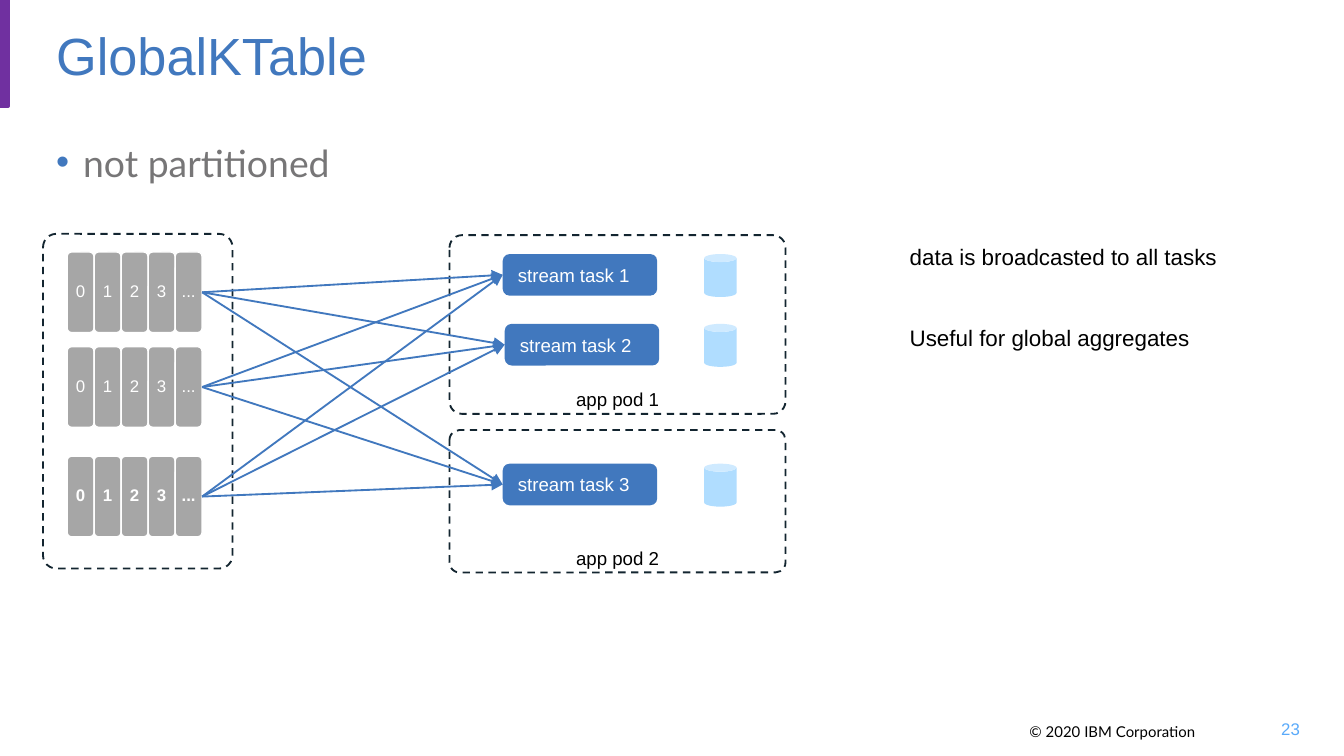
from collections import namedtuple

from lxml.etree import SubElement
from pptx import Presentation
from pptx.dml.color import RGBColor
from pptx.enum.dml import MSO_LINE_DASH_STYLE as Dash
from pptx.enum.shapes import MSO_CONNECTOR as Connector, MSO_SHAPE as Shape
from pptx.enum.text import MSO_ANCHOR as Anchor, PP_ALIGN as Align
from pptx.oxml.ns import qn
from pptx.util import Inches, Pt

BLUE = RGBColor(0x41, 0x78, 0xBE)
PALE_BLUE = RGBColor(0xB0, 0xDD, 0xFF)
NUMBER_BLUE = RGBColor(0x5A, 0xAA, 0xFA)
PURPLE = RGBColor(0x70, 0x30, 0xA0)
GRAY = RGBColor(0xA6, 0xA6, 0xA6)
TEXT_GRAY = RGBColor(0x77, 0x76, 0x77)
DARK = RGBColor(0x13, 0x25, 0x30)
BLACK = RGBColor(0, 0, 0)
WHITE = RGBColor(0xFF, 0xFF, 0xFF)

GRID = Inches(0.1)
COLUMNS = 100
ROWS = COLUMNS * 9 / 16


class Box(namedtuple("Box", "left top width height")):
    """A rectangle in grid columns and rows."""

    def inside(self, left, top, width, height):
        """Return a box offset from this one's corner."""
        return Box(self.left + left, self.top + top, width, height)

    def lengths(self):
        """Return the rectangle as slide lengths."""
        return [round(value * GRID) for value in self]


def add_text(paragraph, text, size, color, font="Arial", bold=False):
    """Add one formatted run to a paragraph."""
    run = paragraph.add_run()
    run.text = text
    run.font.name, run.font.size, run.font.bold = font, Pt(size), bold
    run.font.color.rgb = color


def add_text_box(slide, box, align=Align.LEFT, anchor=Anchor.TOP):
    """Add a wrapping text box and return its text frame."""
    frame = slide.shapes.add_textbox(*box.lengths()).text_frame
    frame.word_wrap = True
    frame.vertical_anchor = anchor
    frame.paragraphs[0].alignment = align
    return frame


def add_block(slide, kind, box, fill=None, line=None, width=1):
    """Add a flat preset shape with optional fill and line."""
    shape = slide.shapes.add_shape(kind, *box.lengths())
    shape.shadow.inherit = False
    for paint, color in ((shape.fill, fill), (shape.line.fill, line)):
        if color is None:
            paint.background()
        else:
            paint.solid()
            paint.fore_color.rgb = color
    if line is not None:
        shape.line.width = Pt(width)
    return shape


def label_block(shape, text, size, color, anchor=Anchor.MIDDLE, bold=False):
    """Centre a label without margins in a shape and return its paragraph."""
    frame = shape.text_frame
    frame.margin_left = frame.margin_top = frame.margin_right = frame.margin_bottom = 0
    frame.vertical_anchor = anchor
    paragraph = frame.paragraphs[0]
    paragraph.alignment = Align.CENTER
    add_text(paragraph, text, size, color, bold=bold)
    return paragraph


def add_panel(slide, box):
    """Add a dashed rounded outline."""
    panel = add_block(slide, Shape.ROUNDED_RECTANGLE, box, line=DARK)
    panel.adjustments[0] = 0.07
    panel.line.dash_style = Dash.DASH
    return panel


def add_header(slide, box):
    """Add the accent bar, title and bullet."""
    add_block(slide, Shape.RECTANGLE, box.inside(0, 0, 0.6, 7.9), PURPLE, PURPLE, 2)
    title = add_text_box(slide, box.inside(3.2, 0.45, 91.8, 7.2), anchor=Anchor.MIDDLE)
    add_text(title.paragraphs[0], "GlobalKTable", 28, BLUE)
    paragraph = add_text_box(slide, box.inside(3.2, 9.9, 91.8, 5.2)).paragraphs[0]
    properties = paragraph._p.get_or_add_pPr()
    properties.set("marL", str(Inches(0.2)))
    properties.set("indent", str(-Inches(0.2)))
    color = SubElement(properties, qn("a:buClr"))
    SubElement(color, qn("a:srgbClr"), val=str(BLUE))
    SubElement(properties, qn("a:buFont"), typeface="Arial")
    SubElement(properties, qn("a:buChar"), char="•")
    add_text(paragraph, "not partitioned", 20, TEXT_GRAY, "Lato")


def add_topics(slide, box):
    """Add the partition rows and return the last cell of each."""
    add_panel(slide, box)
    ends = []
    for top, bold in ((1.35, False), (8.4, False), (16.55, True)):
        for index, text in enumerate(("0", "1", "2", "3", "...")):
            place = box.inside(1.8 + 2.01 * index, top, 2, 6)
            cell = add_block(slide, Shape.ROUNDED_RECTANGLE, place, GRAY, WHITE, 0.75)
            label_block(cell, text, 9, WHITE, bold=bold).line_spacing = 0.9
        ends.append(cell)
    return ends


def add_pod(slide, box, name, tasks):
    """Add a pod with its tasks and stores, and return the tasks."""
    label_block(add_panel(slide, box), name, 10, BLACK, Anchor.BOTTOM)
    shapes = []
    for text, left, top in tasks:
        place = box.inside(left, top, 11.5, 3.1)
        task = add_block(slide, Shape.ROUNDED_RECTANGLE, place, BLUE)
        task.text_frame.vertical_anchor = Anchor.MIDDLE
        paragraph = task.text_frame.paragraphs[0]
        paragraph.alignment = Align.LEFT
        add_text(paragraph, text, 10, WHITE)
        add_block(slide, Shape.CAN, box.inside(18.95, top, 2.4, 3.2), PALE_BLUE)
        shapes.append(task)
    return shapes


def add_arrow(slide, source, target):
    """Join the right side of one shape to the left side of another."""
    arrow = slide.shapes.add_connector(Connector.STRAIGHT, 0, 0, 0, 0)
    arrow.begin_connect(source, 3)
    arrow.end_connect(target, 1)
    arrow.line.color.rgb = BLUE
    arrow.line.width = Pt(1)
    SubElement(arrow.line._get_or_add_ln(), qn("a:tailEnd"), type="triangle")
    SubElement(arrow._element.spPr, qn("a:effectLst"))


def add_remarks(slide, box):
    """Add the remarks beside the diagram."""
    frame = add_text_box(slide, box)
    add_text(frame.paragraphs[0], "data is broadcasted to all tasks", 12, BLACK)
    paragraph = frame.add_paragraph()
    paragraph.space_before = Pt(29)
    add_text(paragraph, "Useful for global aggregates", 12, BLACK)


def add_footer(slide, box):
    """Add the copyright line and slide number."""
    notice = add_text_box(slide, box.inside(0, 0.5, 20, 2), Align.RIGHT)
    add_text(notice.paragraphs[0], "© 2020 IBM Corporation", 8, BLACK, "Lato")
    number = add_text_box(slide, box.inside(23.35, 0, 4.4, 3), Align.RIGHT, Anchor.MIDDLE)
    add_text(number.paragraphs[0], "23", 9, NUMBER_BLUE)


def main():
    """Build and save the slide."""
    presentation = Presentation()
    presentation.slide_width = round(COLUMNS * GRID)
    presentation.slide_height = round(ROWS * GRID)
    slide = presentation.slides.add_slide(presentation.slide_layouts[6])
    add_header(slide, Box(0, 0, COLUMNS, 15.1))
    sources = add_topics(slide, Box(3.2, 17.4, 14.1, 24.9))
    tasks = add_pod(slide, Box(33.45, 17.5, 25, 13.3), "app pod 1",
                    [("stream task 1", 3.95, 1.4), ("stream task 2", 4.1, 6.6)])
    tasks += add_pod(slide, Box(33.45, 32, 25, 10.6), "app pod 2",
                     [("stream task 3", 3.95, 2.5)])
    for source in sources:
        for task in tasks:
            add_arrow(slide, source, task)
    add_remarks(slide, Box(66.7, 17.6, 32.1, 11.1))
    add_footer(slide, Box(69.95, 52.75, 27.8, 3))
    presentation.save("out.pptx")


if __name__ == "__main__":
    main()
